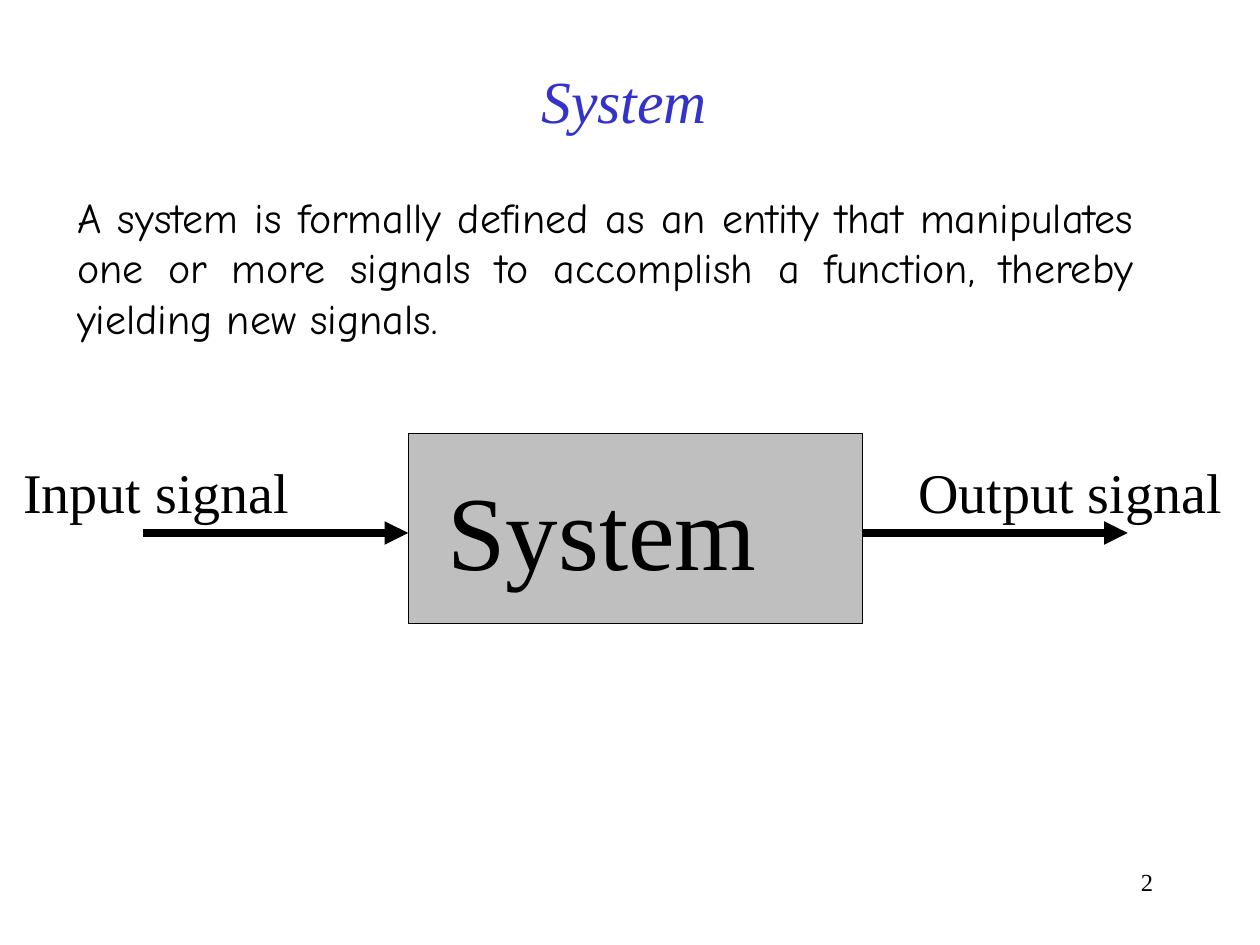
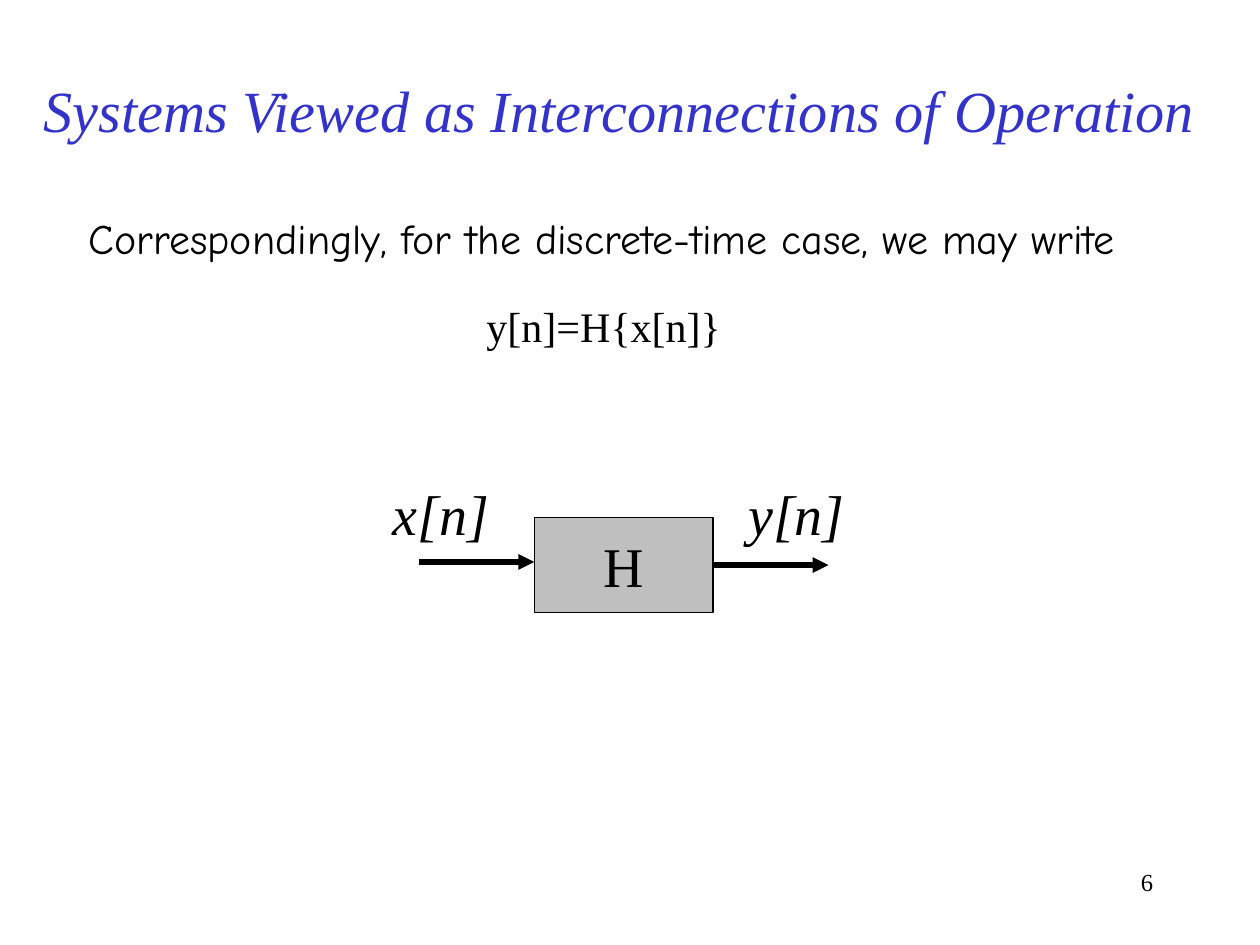
from lxml.etree import SubElement
from pptx import Presentation
from pptx.dml.color import RGBColor
from pptx.enum.shapes import MSO_CONNECTOR, MSO_SHAPE
from pptx.enum.text import MSO_ANCHOR, MSO_AUTO_SIZE, PP_ALIGN
from pptx.oxml.ns import qn
from pptx.util import Inches, Pt

COLORS = {"title": "3333CC", "text": "000000", "block": "BFBFBF", "line": "000000"}
SERIF, HAND = "Times New Roman", "Comic Neue"
TITLE_ONLY = 5
COLUMNS, ROWS = 100, 75  # grid of the slide
CELL = Inches(10) / COLUMNS
LEFT, RIGHT = 1, 3  # connection sites of a rectangle


def cells(*counts):
    return [round(count * CELL) for count in counts]


def color(name):
    return RGBColor.from_string(COLORS[name])


def write(shape, text, size, font=SERIF, ink="text", italic=False,
          align=PP_ALIGN.LEFT, anchor=MSO_ANCHOR.TOP, wrap=True):
    frame = shape.text_frame
    frame.text = text
    frame.auto_size = MSO_AUTO_SIZE.NONE
    frame.word_wrap = wrap
    frame.vertical_anchor = anchor
    para = frame.paragraphs[0]
    para.alignment = align
    for span in para.runs:
        span.font.name = font
        span.font.size = Pt(size)
        span.font.italic = italic
        span.font.color.rgb = color(ink)


def add_text(page, box, text, size, **style):
    write(page.shapes.add_textbox(*cells(*box)), text, size, **style)


def add_page(deck, title, box, size, number, anchor=MSO_ANCHOR.MIDDLE):
    """Start a page with its title and page number."""
    page = deck.slides.add_slide(deck.slide_layouts[TITLE_ONLY])
    heading = page.shapes.title
    heading.left, heading.top, heading.width, heading.height = cells(*box)
    write(heading, title, size, ink="title", italic=True,
          align=PP_ALIGN.CENTER, anchor=anchor)
    add_text(page, (71.7, 68.3, 20.8, 5), number, 14, align=PP_ALIGN.RIGHT)
    return page


def add_arrow(page, start, end, axis, weight):
    arrow = page.shapes.add_connector(
        MSO_CONNECTOR.STRAIGHT, *cells(start, axis, end, axis))
    arrow.line.color.rgb = color("line")
    arrow.line.width = Pt(weight)
    SubElement(arrow.line._get_or_add_ln(), qn("a:tailEnd"), type="triangle")
    SubElement(arrow._element.spPr, qn("a:effectLst"))
    return arrow


def add_block_diagram(page, box, name, size, reach, drops, weight, labels, label_width,
                      label_gaps, label_drop, align, indent=1, italic=False):
    """Draw a block with an arrow in, an arrow out and a label over each.

    Drops are measured down from the top of the block.
    """
    left, top, width, height = box
    right, middle = left + width, height / 2

    # Block
    block = page.shapes.add_shape(MSO_SHAPE.RECTANGLE, *cells(*box))
    block.shadow.inherit = False
    block.fill.solid()
    block.fill.fore_color.rgb = color("block")
    block.line.color.rgb = color("line")
    block.line.width = Pt(0.75)
    write(block, name, size, align=align, anchor=MSO_ANCHOR.MIDDLE)
    block.text_frame.margin_left = cells(indent)[0]

    # Arrows, joined where they meet the middle of a side
    drop_in, drop_out = drops
    arrow_in = add_arrow(page, left - reach, left, top + drop_in, weight)
    if drop_in == middle:
        arrow_in.end_connect(block, LEFT)
    arrow_out = add_arrow(page, right, right + reach, top + drop_out, weight)
    if drop_out == middle:
        arrow_out.begin_connect(block, RIGHT)

    # Labels
    gap_in, gap_out = label_gaps
    for label, start in zip(labels, (left - gap_in - label_width, right + gap_out)):
        add_text(page, (start, top + label_drop, label_width, 6.4), label, 32,
                 italic=italic)


def add_definition_page(deck):
    page = add_page(deck, "System", (0.4, 4.6, 98.3, 12.5), 34.1, "2", MSO_ANCHOR.TOP)
    add_text(page, (5.13, 14.7, 85.8, 19.1),
             "A system is formally defined as an entity that manipulates one or more "
             "signals to accomplish a function, thereby yielding new signals.",
             24, font=HAND, align=PP_ALIGN.JUSTIFY)
    add_block_diagram(page, (32.4, 34.4, 36.05, 15.1), "System", 60,
                      reach=21.05, drops=(7.9, 7.9), weight=4.5,
                      labels=("Input signal", "Output signal"), label_width=27.2,
                      label_gaps=(4.35, 3.45), label_drop=1.45,
                      align=PP_ALIGN.LEFT, indent=3.1)


def add_operator_page(deck):
    page = add_page(deck, "Systems Viewed as Interconnections of Operation",
                    (0.05, 2.4, 98.3, 12.5), 33.3, "6")
    add_text(page, (6.05, 16.4, 87.9, 5),
             "Correspondingly, for the discrete-time case, we may write",
             24, font=HAND, align=PP_ALIGN.JUSTIFY)
    add_text(page, (37.63, 23.35, 20.6, 5), "y[n]=H{x[n]}", 24, wrap=False)
    add_block_diagram(page, (42.4, 41.1, 14.2, 7.5), "H", 32,
                      reach=9.15, drops=(3.5, 3.75), weight=3,
                      labels=("x[n]", "y[n]"), label_width=10.8,
                      label_gaps=(1.4, 1.8), label_drop=-3.55,
                      align=PP_ALIGN.CENTER, italic=True)


def main():
    deck = Presentation()
    deck.slide_width, deck.slide_height = cells(COLUMNS, ROWS)
    add_definition_page(deck)
    add_operator_page(deck)
    deck.save("out.pptx")


if __name__ == "__main__":
    main()
